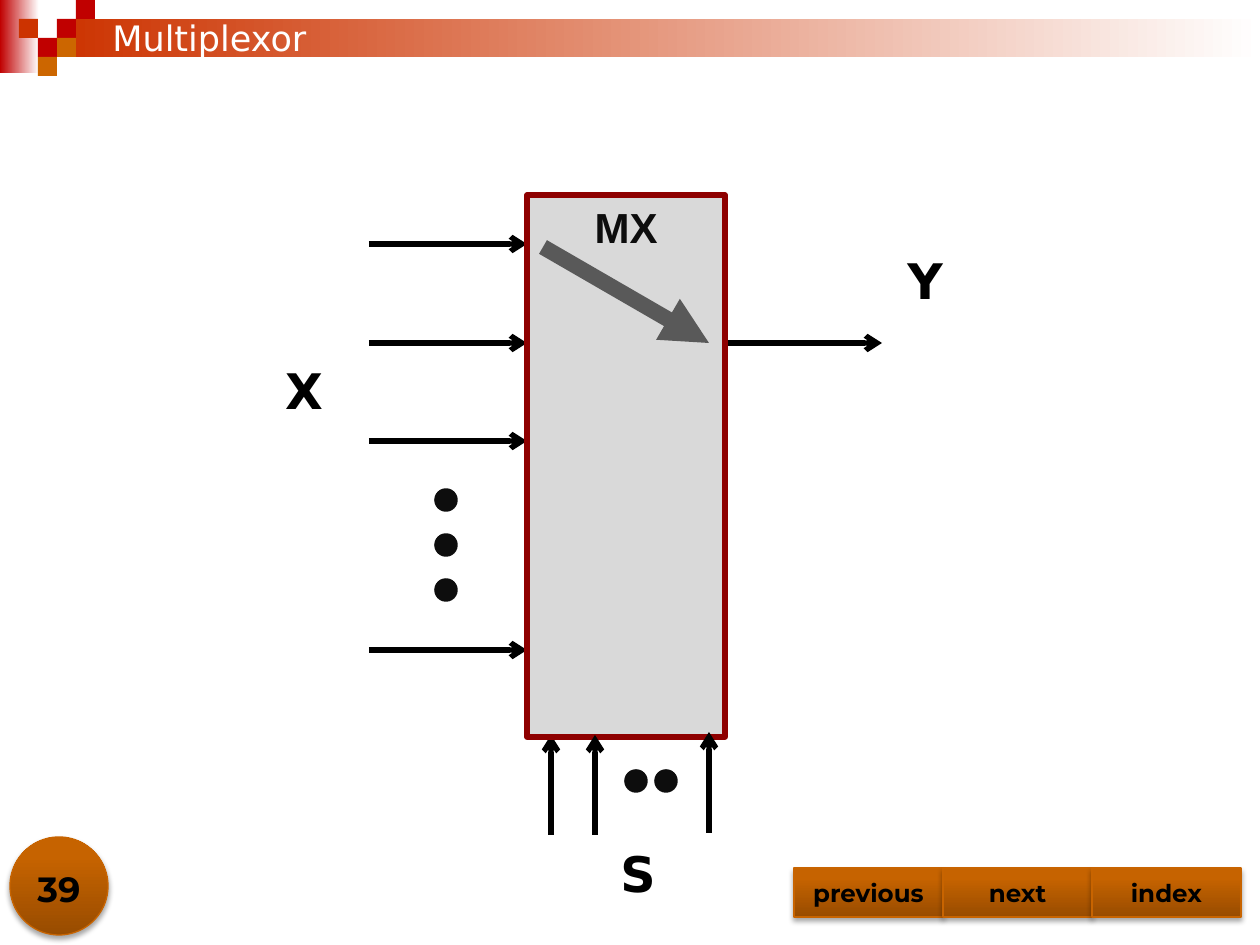
from dataclasses import dataclass

from lxml.etree import SubElement
from pptx import Presentation
from pptx.dml.color import RGBColor
from pptx.enum.shapes import MSO_CONNECTOR as Connector, MSO_SHAPE as Shape
from pptx.enum.text import MSO_ANCHOR as Anchor, PP_ALIGN as Align
from pptx.oxml.ns import qn
from pptx.util import Emu, Pt


@dataclass(frozen=True)
class Theme:
    white: str = "FFFFFF"
    black: str = "000000"
    red: str = "C00000"
    rust: str = "CC3300"
    orange: str = "CC6600"
    button_line: str = "C86400"
    button_stops: tuple = ((0, "984C00"), (80, "C66300"), (100, "C76300"))
    ink: str = "0D0D0D"
    body: str = "D9D9D9"
    border: str = "8E0000"
    route: str = "595959"
    ui_font: str = "Montserrat"
    label_font: str = "DejaVu Sans"
    body_font: str = "Arial"
    button_size: int = 14
    title_size: int = 20
    body_size: int = 24
    label_size: int = 28


THEME = Theme()
EMU_PER_PX = 914400 / 126


def px(*lengths):
    return [Emu(round(length * EMU_PER_PX)) for length in lengths]


def rgb(color):
    return RGBColor.from_string(color)


def write_text(shape, text, size, font=THEME.label_font, color=THEME.black,
               bold=True, align=Align.CENTER, anchor=Anchor.TOP):
    frame = shape.text_frame
    frame.word_wrap = True
    frame.vertical_anchor = anchor
    paragraph = frame.paragraphs[0]
    paragraph.alignment = align
    run = paragraph.add_run()
    run.text = text
    run.font.size = Pt(size)
    run.font.name = font
    run.font.bold = bold
    run.font.color.rgb = rgb(color)


def add_text(slide, box, text, size, **text_format):
    write_text(slide.shapes.add_textbox(*px(*box)), text, size, **text_format)


def add_block(slide, kind, box, fill=None, line=None, width=1):
    shape = slide.shapes.add_shape(kind, *px(*box))
    shape.shadow.inherit = False
    if fill:
        shape.fill.solid()
        shape.fill.fore_color.rgb = rgb(fill)
    if line:
        shape.line.color.rgb = rgb(line)
        shape.line.width = Pt(width)
    else:
        shape.line.fill.background()
    return shape


def set_gradient(shape, stops, angle=0):
    """Fill with (percent, colour) stops; the angle runs clockwise."""
    shape.fill.gradient()
    gradient = shape.element.spPr.find(qn("a:gradFill"))
    stop_list = gradient.find(qn("a:gsLst"))
    for stop in list(stop_list):
        stop_list.remove(stop)
    for percent, color in stops:
        stop = SubElement(stop_list, qn("a:gs"), pos=str(percent * 1000))
        SubElement(stop, qn("a:srgbClr"), val=color)
    gradient.find(qn("a:lin")).set("ang", str(angle * 60000))


def add_button(slide, kind, box):
    """Raised orange control with a soft shadow below it."""
    shape = add_block(slide, kind, box, line=THEME.button_line, width=0.75)
    set_gradient(shape, THEME.button_stops, 270)
    effects = shape.element.spPr.find(qn("a:effectLst"))
    shadow = SubElement(effects, qn("a:outerShdw"), blurRad=str(Pt(3.1)),
                        dist=str(Pt(1.8)), dir="5400000", rotWithShape="0")
    color = SubElement(shadow, qn("a:srgbClr"), val=THEME.black)
    SubElement(color, qn("a:alpha"), val="35000")
    return shape


def add_arrow(slide, start, end, color=THEME.black, width=3, head="arrow"):
    arrow = slide.shapes.add_connector(Connector.STRAIGHT, *px(*start, *end))
    arrow.line.color.rgb = rgb(color)
    arrow.line.width = Pt(width)
    SubElement(arrow.line._get_or_add_ln(), qn("a:tailEnd"), type=head)
    SubElement(arrow._element.spPr, qn("a:effectLst"))


def add_dot(slide, left, top):
    add_block(slide, Shape.OVAL, (left, top, 20, 20), THEME.ink, THEME.ink, 2)


def add_header(slide):
    for box, color in (((0, 0, 39, 73), THEME.red),
                       ((57, 19, 1203, 38), THEME.rust)):
        band = add_block(slide, Shape.RECTANGLE, box)
        set_gradient(band, ((0, color), (100, THEME.white)))
    tile = 19
    for column, row, color in (
            (3, 1, THEME.red), (4, 0, THEME.red), (4, 1, None),
            (3, 2, THEME.orange), (2, 2, THEME.red),
            (1, 1, THEME.rust), (2, 3, THEME.orange)):
        if color:
            add_block(slide, Shape.RECTANGLE,
                      (column * tile, row * tile, tile, tile), color)
    add_text(slide, (100, 10, 1071, 55), "Multiplexor", THEME.title_size,
             color=THEME.white, bold=False, align=Align.LEFT,
             anchor=Anchor.MIDDLE)


def add_navigation(slide):
    add_button(slide, Shape.OVAL, (10, 837, 98, 98))
    add_text(slide, (0, 853, 118, 63), "39", THEME.title_size,
             font=THEME.ui_font, anchor=Anchor.BOTTOM)
    for index, caption in enumerate(("previous", "next", "index")):
        button = add_button(slide, Shape.ACTION_BUTTON_CUSTOM,
                            (794 + 149 * index, 868, 149, 49))
        write_text(button, caption, THEME.button_size, font=THEME.ui_font,
                   anchor=Anchor.MIDDLE)


def add_multiplexer(slide):
    for y in (244, 343, 441, 650):
        add_arrow(slide, (369, y), (527, y))
    add_arrow(slide, (723, 343), (882, 343))
    add_arrow(slide, (551, 835), (551, 735))
    for index in range(3):
        add_dot(slide, 436, 490 + 45 * index)

    body = add_block(slide, Shape.RECTANGLE, (527, 195, 198, 542),
                     THEME.body, THEME.border, 3)
    write_text(body, "MX", THEME.body_size, font=THEME.body_font,
               color=THEME.ink)

    add_arrow(slide, (595, 835), (595, 735))
    add_arrow(slide, (709, 833), (709, 732))
    for left in (626, 656):
        add_dot(slide, left, 771)
    for name, left, top in (("X", 233, 354), ("Y", 854, 244), ("S", 567, 837)):
        add_text(slide, (left, top, 142, 79), name, THEME.label_size)
    add_arrow(slide, (543, 247), (709, 343), THEME.route, 9, "triangle")


def main():
    presentation = Presentation()
    presentation.slide_width, presentation.slide_height = px(1260, 945)
    slide = presentation.slides.add_slide(presentation.slide_layouts[6])
    add_header(slide)
    add_navigation(slide)
    add_multiplexer(slide)
    presentation.save("out.pptx")


if __name__ == "__main__":
    main()
